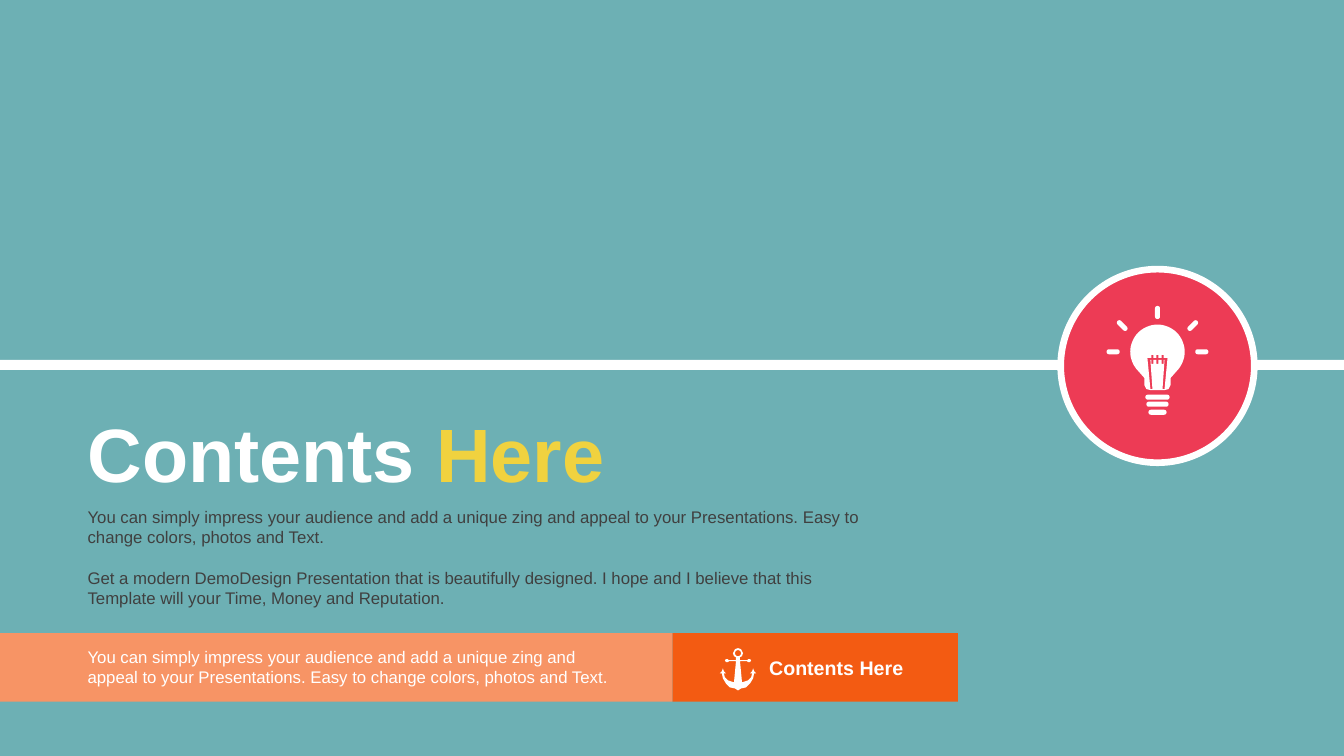
from math import cos, pi, sin

from pptx import Presentation
from pptx import util as u
from pptx.dml.color import RGBColor
from pptx.enum import shapes, text

WHITE, GREY, YELLOW, RED = "FFFFFF", "404040", "F0D23F", "ED3B55"
TEAL, ORANGE, PEACH = "6DB0B4", "F35B12", "F79465"
UNITS = 1000  # freeform grid steps per inch
PITCH = "You can simply impress your audience and add a unique zing and appeal to your Presentations. Easy to change colors, photos and Text."
OFFER = "Get a modern DemoDesign Presentation that is beautifully designed. I hope and I believe that this Template will your Time, Money and Reputation."


def rgb(value):
    return RGBColor.from_string(value)


def arc(cx, cy, radius, start, end, steps=24):
    """Points on a circle, angles in units of pi, clockwise from the right."""
    angles = [pi * (start + (end - start) * i / steps) for i in range(steps + 1)]
    return [(cx + radius * cos(a), cy + radius * sin(a)) for a in angles]


def capsule(cx, cy, length, width, turn=0):
    """A bar with round ends, turned by an angle in units of pi."""
    reach, radius = (length - width) / 2, width / 2
    dx, dy = reach * cos(turn * pi), reach * sin(turn * pi)
    return (arc(cx + dx, cy + dy, radius, turn - 0.5, turn + 0.5, 8)
            + arc(cx - dx, cy - dy, radius, turn + 0.5, turn + 1.5, 8))


def mirrored(cx, half):
    """A closed outline from its right half, given as offsets from cx."""
    return [(cx + x, y) for x, y in half] + [(cx - x, y) for x, y in reversed(half)]


class Deck:
    def __init__(self, font, background):
        self.font = font
        self.prs = Presentation()
        self.prs.slide_width, self.prs.slide_height = u.Inches(13.33), u.Inches(7.5)
        self.s = self.prs.slides.add_slide(self.prs.slide_layouts[6])
        fill = self.s.background.fill
        fill.solid()
        fill.fore_color.rgb = rgb(background)

    def paint(self, sp, fill, line=None, width=0):
        sp.shadow.inherit = False
        sp.fill.solid()
        sp.fill.fore_color.rgb = rgb(fill)
        if line:
            sp.line.color.rgb = rgb(line)
            sp.line.width = u.Pt(width)
        else:
            sp.line.fill.background()

    def shape(self, kind, box, fill, **line):
        sp = self.s.shapes.add_shape(kind, *map(u.Inches, box))
        self.paint(sp, fill, **line)

    def outline(self, contours, fill):
        first, *rest = [[(x * UNITS, y * UNITS) for x, y in points] for points in contours]
        builder = self.s.shapes.build_freeform(*first[0], scale=u.Inches(1) / UNITS)
        builder.add_line_segments(first[1:])
        for points in rest:
            builder.move_to(*points[0])
            builder.add_line_segments(points[1:])
        self.paint(builder.convert_to_shape(), fill)

    def text(self, box, paragraphs, size, bold=False, gap=0):
        """Each paragraph is a list of (words, colour) runs."""
        tf = self.s.shapes.add_textbox(*map(u.Inches, box)).text_frame
        tf.word_wrap = True
        tf.auto_size = text.MSO_AUTO_SIZE.SHAPE_TO_FIT_TEXT
        for i, runs in enumerate(paragraphs):
            p = tf.add_paragraph() if i else tf.paragraphs[0]
            if i:
                p.space_before = u.Pt(gap)
            for words, colour in runs:
                r = p.add_run()
                r.text = words
                r.font.name, r.font.size, r.font.bold = self.font, u.Pt(size), bold
                r.font.color.rgb = rgb(colour)


def bulb(cx, cy):
    """Light bulb around the centre of its glass."""
    glass = [(x, cy + y) for x, y in arc(0, 0, 0.27, -0.5, 0.25)]
    neck = [(0.13, cy + 0.26), (0.13, cy + 0.33), (0.11, cy + 0.37), (0.07, cy + 0.38)]
    filament = [(0, 0.03), (0.01, 0.03), (0.01, 0.06), (0.04, 0.06), (0.04, 0.03),
                (0.06, 0.03), (0.06, 0.06), (0.1, 0.06), (0.07, 0.37), (0.05, 0.37),
                (0.07, 0.08), (0.06, 0.08), (0.06, 0.12), (0.04, 0.12), (0.04, 0.08),
                (0.01, 0.08), (0.01, 0.12), (0, 0.12)]
    rays = [(0, -0.39, 0.5), (-0.44, 0, 0), (0.44, 0, 0),
            (-0.35, -0.26, 0.25), (0.35, -0.26, -0.25)]
    base = [(0.45, 0.24), (0.52, 0.22), (0.6, 0.18)]
    return ([mirrored(cx, glass + neck),
             mirrored(cx, [(x, cy + y) for x, y in filament])]
            + [capsule(cx + x, cy + y, 0.13, 0.05, turn) for x, y, turn in rays]
            + [capsule(cx, cy + y, length, 0.05) for y, length in base])


def anchor(cx, top):
    """Anchor hanging from the top of its ring."""
    half = [(0, 0), (0.03, 0.01), (0.05, 0.05), (0.04, 0.08), (0.02, 0.09),
            (0.02, 0.12), (0.09, 0.12), (0.1, 0.11), (0.12, 0.11), (0.13, 0.12),
            (0.12, 0.14), (0.1, 0.14), (0.09, 0.13), (0.02, 0.13), (0.04, 0.34),
            (0.1, 0.32), (0.13, 0.29), (0.14, 0.25), (0.12, 0.25), (0.14, 0.23),
            (0.15, 0.2), (0.16, 0.23), (0.18, 0.25), (0.16, 0.25), (0.15, 0.3),
            (0.12, 0.35), (0.08, 0.39), (0.03, 0.4), (0, 0.42)]
    return [mirrored(cx, [(x, top + y) for x, y in half]),
            arc(cx, top + 0.05, 0.03, 0, 2)]


def main():
    deck = Deck("Arial", TEAL)
    rect, oval = shapes.MSO_SHAPE.RECTANGLE, shapes.MSO_SHAPE.OVAL

    # Divider and badge
    deck.shape(rect, (0, 3.57, 13.33, 0.1), WHITE)
    deck.shape(oval, (10.52, 2.67, 1.92, 1.92), RED, line=WHITE, width=4.75)

    # Body and title
    deck.text((0.77, 4.98, 8.05, 1.11), [[(PITCH, GREY)], [(OFFER, GREY)]],
              size=12, gap=14.4)
    deck.text((0.77, 3.99, 6.5, 1.01), [[("Contents ", WHITE), ("Here", YELLOW)]],
              size=54, bold=True)

    # Bottom banner
    deck.shape(rect, (6.67, 6.28, 2.83, 0.68), ORANGE)
    deck.shape(rect, (0, 6.28, 6.67, 0.68), PEACH)
    deck.text((0.77, 6.37, 5.59, 0.5), [[(PITCH, WHITE)]], size=12)
    deck.text((7.53, 6.46, 1.97, 0.34), [[("Contents Here", WHITE)]], size=14, bold=True)

    # Icons
    deck.outline(bulb(11.48, 3.49), WHITE)
    deck.outline(anchor(7.32, 6.43), WHITE)

    deck.prs.save("out.pptx")


if __name__ == "__main__":
    main()
